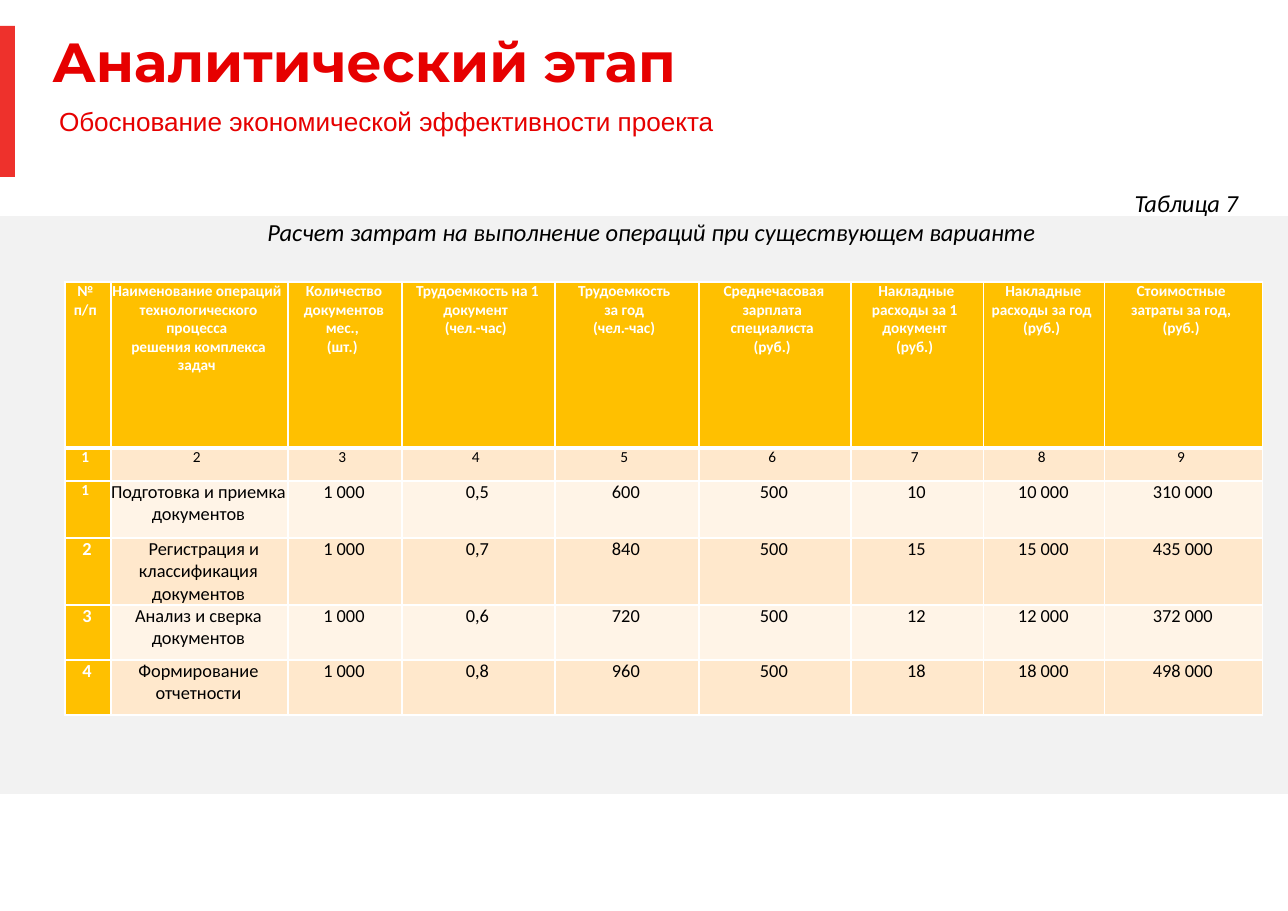
"""Builds the slide with the cost table for the existing variant of operations."""
from lxml.etree import SubElement
from pptx import Presentation
from pptx.dml.color import RGBColor
from pptx.enum.shapes import MSO_SHAPE as Shape
from pptx.enum.text import MSO_ANCHOR as Anchor, MSO_AUTO_SIZE as AutoSize, PP_ALIGN as Align
from pptx.oxml.ns import qn
from pptx.util import Pt

PX = 8298
WHITE, BLACK, RED, AMBER = "FFFFFF", "000000", "E60000", "FFC000"
PEACH, CREAM = "FFE8CC", "FFF4E7"


def rgb(code):
    return RGBColor.from_string(code)


def write(frame, text, size=12, color=BLACK, font="Calibri", bold=False, italic=False,
          align=Align.CENTER, spacing=1.0, margins=(0, 0, 0, 0), anchor=Anchor.TOP):
    frame.word_wrap = True
    frame.auto_size = AutoSize.NONE
    frame.vertical_anchor = anchor
    frame.margin_left, frame.margin_top, frame.margin_right, frame.margin_bottom = (
        side * PX for side in margins)
    for line in text.split("\n"):
        last = frame.paragraphs[-1]
        paragraph = frame.add_paragraph() if last.runs else last
        paragraph.alignment = align
        paragraph.line_spacing = spacing
        run = paragraph.add_run()
        run.text = line
        run.font.size, run.font.name = Pt(size), font
        run.font.bold, run.font.italic = bold, italic
        run.font.color.rgb = rgb(color)


deck = Presentation()
deck.slide_width, deck.slide_height = 1288 * PX, 911 * PX
slide = deck.slides.add_slide(deck.slide_layouts[5])
shapes = slide.shapes

heading = shapes.title
for left, top, width, height, color in ((0, 216, 1288, 578, "F2F2F2"), (0, 26, 15, 151, "EE312C")):
    panel = shapes.add_shape(Shape.RECTANGLE, left * PX, top * PX, width * PX, height * PX)
    panel.shadow.inherit = False
    panel.fill.solid()
    panel.fill.fore_color.rgb = rgb(color)
    panel.line.fill.background()

heading.left, heading.top, heading.width, heading.height = 52 * PX, 35 * PX, 1224 * PX, 60 * PX
write(heading.text_frame, "Аналитический этап", size=36, color=RED, font="Montserrat",
      bold=True, align=Align.LEFT, spacing=0.9, anchor=Anchor.MIDDLE)

subtitle = shapes.add_textbox(36 * PX, 75 * PX, 1184 * PX, 68 * PX).text_frame
write(subtitle, "Обоснование экономической эффективности проекта", size=17.1, color=RED,
      font="Arial", align=Align.LEFT, spacing=0.7, margins=(23, 7, 12, 7), anchor=Anchor.BOTTOM)

caption = shapes.add_textbox(53 * PX, 181 * PX, 1197 * PX, 74 * PX).text_frame
for line, align in (
    ("Таблица 7", Align.RIGHT),
    ("Расчет затрат на выполнение операций при существующем варианте", Align.CENTER),
):
    write(caption, line, size=16, italic=True, align=align, margins=(12, 7, 12, 7))

column_widths = (46, 177, 114, 153, 144, 152, 133, 121, 158)
row_heights = (166, 33, 57, 55, 55, 55)
costs = (
    ("№ \nп/п ",
     "Наименование операций \nтехнологического процесса \nрешения комплекса задач ",
     "Количество документов мес., \n(шт.) ",
     "Трудоемкость на 1 документ \n(чел.-час) ",
     "Трудоемкость \nза год \n(чел.-час) ",
     "Среднечасовая зарплата \nспециалиста \n(руб.) ",
     "Накладные расходы за 1 \nдокумент \n(руб.) ",
     "Накладные расходы за год \n(руб.) ",
     "Стоимостные \nзатраты за год, \n(руб.) "),
    tuple(f"{number} " for number in range(1, 10)),
    ("1 ", "Подготовка и приемка документов", "1 000", "0,5", "600", "500", "10", "10 000", "310 000"),
    ("2", "Регистрация и классификация документов", "1 000", "0,7", "840", "500", "15", "15 000", "435 000"),
    ("3", "Анализ и сверка документов", "1 000", "0,6", "720", "500", "12", "12 000", "372 000"),
    ("4", "Формирование отчетности", "1 000", "0,8", "960", "500", "18", "18 000", "498 000"),
)

cost_table = shapes.add_table(len(costs), len(column_widths), 65 * PX, 282 * PX,
                              sum(column_widths) * PX, sum(row_heights) * PX).table
for column, width in zip(cost_table.columns, column_widths):
    column.width = width * PX
for row, height in zip(cost_table.rows, row_heights):
    row.height = height * PX

for r, entries in enumerate(costs):
    for c, entry in enumerate(entries):
        cell = cost_table.cell(r, c)
        accent = r == 0 or c == 0
        small = r < 2 or (r, c) == (2, 0)
        write(cell.text_frame, entry, size=10 if small else 12,
              color=WHITE if accent else BLACK, bold=accent)
        cell.margin_left = cell.margin_top = cell.margin_bottom = 0
        cell.margin_right = 2 * PX
        properties = cell._tc.get_or_add_tcPr()
        for side in ("lnL", "lnR", "lnT", "lnB"):
            thick = (r, side) in ((0, "lnB"), (1, "lnT"))
            border = SubElement(properties, qn(f"a:{side}"), w=str(Pt(3 if thick else 1)))
            SubElement(SubElement(border, qn("a:solidFill")), qn("a:srgbClr"), val=WHITE)
        cell.fill.solid()
        cell.fill.fore_color.rgb = rgb(AMBER if accent else PEACH if r % 2 else CREAM)

registration = cost_table.cell(3, 1).text_frame.paragraphs[0]
registration._p.get_or_add_pPr().set("indent", str(11 * PX))

deck.save("out.pptx")
